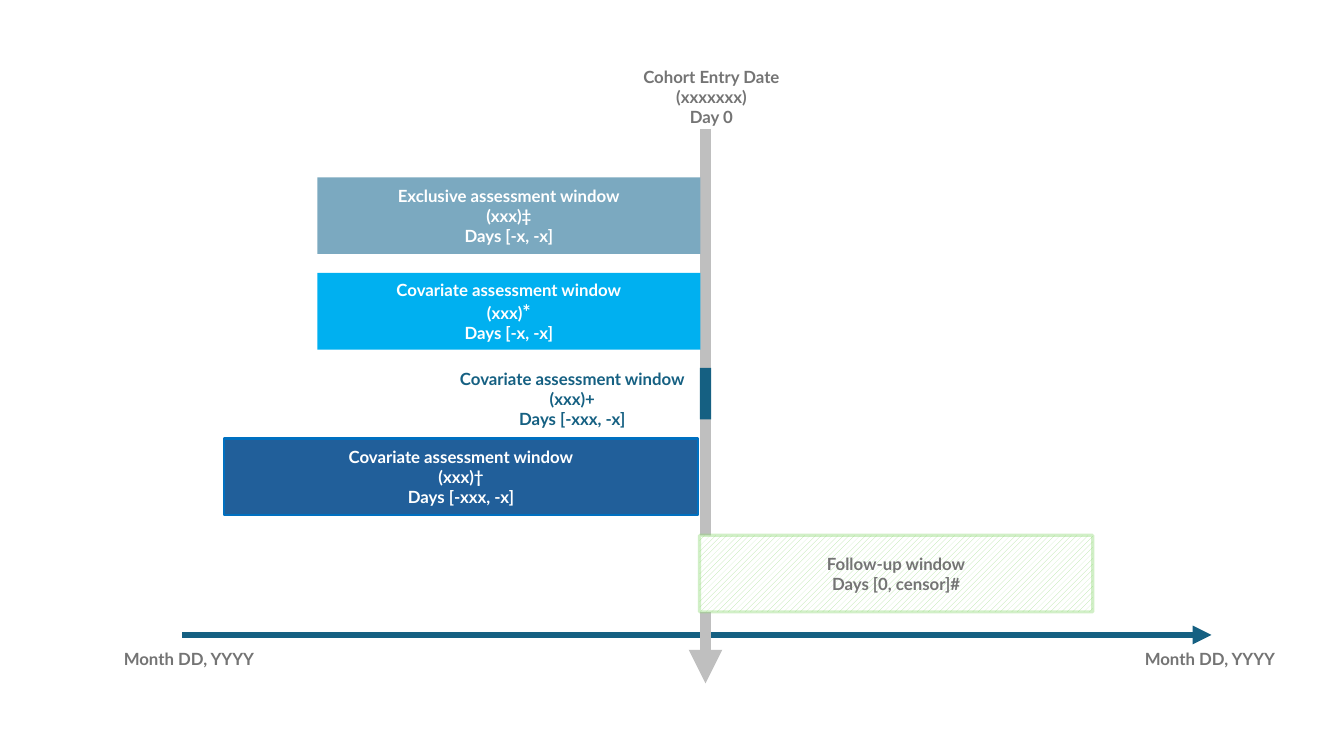
from lxml import etree
from pptx import Presentation
from pptx.dml.color import RGBColor
from pptx.enum import dml, shapes, text
from pptx.oxml.ns import qn
from pptx.util import Cm, Pt

FONT, SIZE = "Lato", 12
GREY, TEAL, WHITE = "747474", "156082", "FFFFFF"
DAY_0 = 17.78  # x of the cohort entry line, cm
WINDOW_H = 1.93

# from, to, colour, width in points
ARROWS = [
    ((4.6, 16), (30.53, 16), TEAL, 4.5),
    ((DAY_0, 3.25), (DAY_0, 17.22), "BFBFBF", 8),
]
# lines, left, top, width, height, alignment
LABELS = [
    (["Month DD, YYYY"], 2.87, 16.23, 5.2, 0.76, "LEFT"),
    (["Month DD, YYYY"], 28.6, 16.23, 5.2, 0.76, "LEFT"),
    (["Cohort Entry Date", "(xxxxxxx)", "Day 0"], 15.16, 1.55, 5.54, 1.8, "CENTER"),
]
# name, footnote mark, mark size, days, left, right, top, fill, text colour
ASSESSMENTS = [
    ("Exclusive", "‡", 12, "[-x, -x]", 8, 17.65, 4.47, "7BA9C0", WHITE),
    ("Covariate", "*", 14, "[-x, -x]", 8, 17.65, 6.88, "00B0F0", WHITE),
    ("Covariate", "+", 12, "[-xxx, -x]", 11.2, 17.65, 9.09, None, TEAL),
    ("Covariate", "†", 12, "[-xxx, -x]", 5.64, 17.6, 11.05, "215F9A", WHITE),
]
FOLLOW_UP = ["Follow-up window", "Days [0, censor]#"]


def rgb(value):
    return RGBColor.from_string(value)


def write(sp, lines, colour, align="CENTER", anchor="MIDDLE"):
    """Fill a shape with lines; a line is a string or a list of (text, size) runs."""
    tf = sp.text_frame
    tf.word_wrap = True
    tf.vertical_anchor = text.MSO_ANCHOR[anchor]
    for i, line in enumerate(lines):
        p = tf.paragraphs[0] if i == 0 else tf.add_paragraph()
        p.alignment = text.PP_ALIGN[align]
        for words, size in [(line, SIZE)] if isinstance(line, str) else line:
            r = p.add_run()
            r.text = words
            r.font.color.rgb = rgb(colour)
            for key, value in {"name": FONT, "size": Pt(size), "bold": True}.items():
                setattr(r.font, key, value)


def add_rect(s, left, top, width, height, fill=None, line=None, line_width=1.5):
    box = [Cm(v) for v in (left, top, width, height)]
    sp = s.shapes.add_shape(shapes.MSO_SHAPE.RECTANGLE, *box)
    sp.shadow.inherit = False
    if fill:
        sp.fill.solid()
        sp.fill.fore_color.rgb = rgb(fill)
    if line:
        sp.line.color.rgb = rgb(line)
        sp.line.width = Pt(line_width)
    else:
        sp.line.fill.background()
    return sp


def add_arrow(s, start, end, colour, width):
    ends = [Cm(v) for v in start + end]
    c = s.shapes.add_connector(shapes.MSO_CONNECTOR.STRAIGHT, *ends)
    c.line.color.rgb = rgb(colour)
    c.line.width = Pt(width)
    etree.SubElement(c.line._get_or_add_ln(), qn("a:tailEnd"), type="triangle")
    etree.SubElement(c._element.spPr, qn("a:effectLst"))


def add_text(s, left, top, width, height):
    return s.shapes.add_textbox(Cm(left), Cm(top), Cm(width), Cm(height))


def add_follow_up(s):
    left = DAY_0 - 0.15
    sp = add_rect(s, left, 13.49, 9.91, WINDOW_H, line="8ED973", line_width=2.25)
    sp.fill.patterned()
    sp.fill.pattern = dml.MSO_PATTERN.WIDE_UPWARD_DIAGONAL
    sp.fill.fore_color.rgb = rgb("B4E5A2")
    sp.fill.back_color.rgb = rgb(WHITE)
    line_colour = sp.line._get_or_add_ln().find(".//" + qn("a:srgbClr"))
    etree.SubElement(line_colour, qn("a:alpha"), val="40000")
    write(sp, FOLLOW_UP, GREY)


def main():
    prs = Presentation()
    prs.slide_width, prs.slide_height = Cm(33.87), Cm(19.05)
    s = prs.slides.add_slide(prs.slide_layouts[6])

    for arrow in ARROWS:
        add_arrow(s, *arrow)
    for lines, left, top, width, height, align in LABELS:
        write(add_text(s, left, top, width, height), lines, GREY, align, "TOP")

    for name, mark, mark_size, days, left, right, top, fill, colour in ASSESSMENTS:
        box = left, top, right - left, WINDOW_H
        if fill:
            sp = add_rect(s, *box, fill, "0070C0" if mark == "†" else None)
        else:
            add_rect(s, DAY_0 - 0.14, top + 0.18, 0.28, 1.3, TEAL)
            sp = add_text(s, *box)
        marked = [("(xxx)", SIZE), (mark, mark_size)]
        write(sp, [f"{name} assessment window", marked, f"Days {days}"], colour)

    add_follow_up(s)
    prs.save("out.pptx")


if __name__ == "__main__":
    main()
